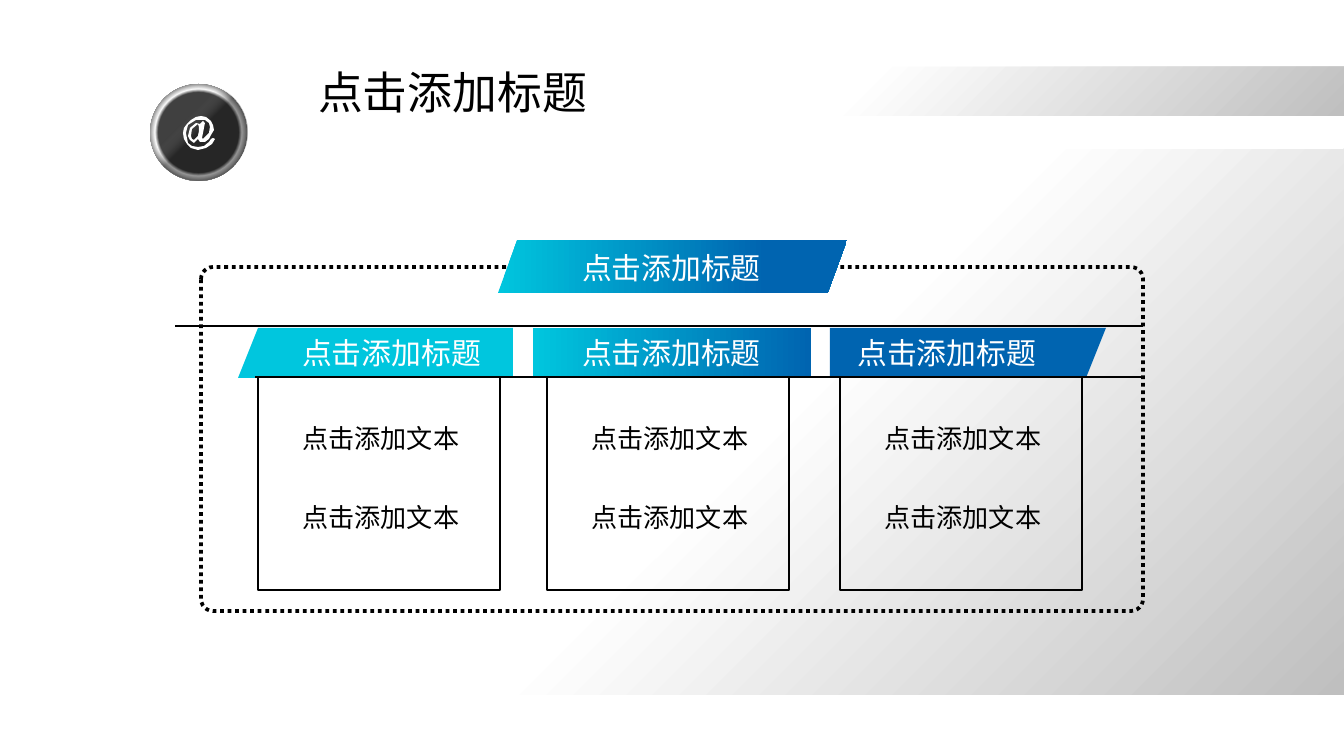
import math

import pptx
import pptx.dml.color
import pptx.enum.dml
import pptx.enum.shapes
import pptx.enum.text
import pptx.oxml
import pptx.oxml.ns
import pptx.util

RGBColor = pptx.dml.color.RGBColor
SHAPES = pptx.enum.shapes.MSO_SHAPE
PIXEL = 914400 / 134.4
FONT = "Noto Sans CJK SC"

BLACK = RGBColor(0x00, 0x00, 0x00)
WHITE = RGBColor(0xFF, 0xFF, 0xFF)
SILVER = RGBColor(0xBF, 0xBF, 0xBF)
GRAY = RGBColor(0x80, 0x80, 0x80)
CHARCOAL = RGBColor(0x40, 0x40, 0x40)
CYAN = RGBColor(0x00, 0xC6, 0xDE)
BLUE = RGBColor(0x00, 0x64, 0xB0)

TITLE = "点击添加标题"
BODY = "点击添加文本"

SILVER_FADE = [(0, WHITE, 100), (55, WHITE, 100), (100, SILVER, 100)]
LINEAR = '<a:lin ang="%d" scaled="0"/>'
RADIAL = '<a:path path="circle"><a:fillToRect l="%d" t="%d" r="%d" b="%d"/></a:path>'
DIAGONAL = LINEAR % (45 * 60000)
HORIZONTAL = LINEAR % 0

# Outline of the at sign, relative to its top left corner
AT_OUTER = [
    (30, 9), (31, 14), (28, 19), (26, 23), (22, 26), (17, 26), (15, 23),
    (11, 27), (7, 24), (5, 20), (7, 12), (13, 7), (17, 8), (20, 5), (22, 7),
    (20, 17), (19, 22), (20, 23), (26, 17), (27, 11), (26, 7), (22, 4),
    (13, 4), (5, 9), (3, 17), (5, 27), (9, 30), (15, 31), (21, 30), (26, 26),
    (28, 23), (30, 22), (32, 23), (29, 28), (23, 32), (15, 34), (8, 32),
    (4, 28), (1, 23), (0, 17), (1, 12), (4, 8), (8, 4), (13, 1), (18, 0),
    (23, 1), (28, 5)]
AT_INNER = [(15, 8), (9, 13), (8, 20), (9, 23), (11, 24), (15, 20), (16, 15), (16, 11)]


def px(value):
    return pptx.util.Emu(round(value * PIXEL))


def paint(shape, fill=None):
    """Fill with a colour, a (stops, direction) gradient, or nothing."""
    shape.shadow.inherit = False
    shape.line.fill.background()
    if isinstance(fill, RGBColor):
        shape.fill.solid()
        shape.fill.fore_color.rgb = fill
        return shape
    shape.fill.background()
    if fill:
        stops, direction = fill
        stop_xml = "".join(
            f'<a:gs pos="{position * 1000}"><a:srgbClr val="{color}">'
            f'<a:alpha val="{alpha * 1000}"/></a:srgbClr></a:gs>'
            for position, color, alpha in stops)
        gradient = pptx.oxml.parse_xml(
            f'<a:gradFill {pptx.oxml.ns.nsdecls("a")} rotWithShape="1">'
            f"<a:gsLst>{stop_xml}</a:gsLst>{direction}</a:gradFill>")
        properties = shape.element.spPr
        properties.replace(properties.find(pptx.oxml.ns.qn("a:noFill")), gradient)
    return shape


def add_preset(slide, kind, left, top, width, height, fill=None):
    shape = slide.shapes.add_shape(kind, px(left), px(top), px(width), px(height))
    return paint(shape, fill)


def add_outline(slide, contours, fill):
    builder = slide.shapes.build_freeform(*contours[0][0], scale=PIXEL)
    builder.add_line_segments(contours[0][1:], close=True)
    for contour in contours[1:]:
        builder.move_to(*contour[0])
        builder.add_line_segments(contour[1:], close=True)
    return paint(builder.convert_to_shape(), fill)


def set_border(shape, width, dash=None):
    shape.line.color.rgb = BLACK
    shape.line.width = pptx.util.Pt(width)
    if dash:
        shape.line.dash_style = dash


def add_rule(slide, start, end, y):
    rule = slide.shapes.add_connector(
        pptx.enum.shapes.MSO_CONNECTOR.STRAIGHT, px(start), px(y), px(end), px(y))
    set_border(rule, 0.75)
    rule.element.spPr.append(
        pptx.oxml.parse_xml(f'<a:effectLst {pptx.oxml.ns.nsdecls("a")}/>'))


def add_text(slide, text, left, top, width, height, size, color):
    box = slide.shapes.add_textbox(px(left), px(top), px(width), px(height))
    frame = box.text_frame
    frame.word_wrap = False
    frame.auto_size = pptx.enum.text.MSO_AUTO_SIZE.SHAPE_TO_FIT_TEXT
    frame.text = text
    run = frame.paragraphs[0].runs[0]
    run.font.size = pptx.util.Pt(size)
    run.font.name = FONT
    run.font.color.rgb = color
    run.font.fill.fore_color.rgb = color
    east_asian = pptx.oxml.parse_xml(
        f'<a:ea {pptx.oxml.ns.nsdecls("a")} typeface="{FONT}"/>')
    run.font.latin = None
    properties = run.element.rPr if hasattr(run, "element") else run._r.rPr
    properties.find(pptx.oxml.ns.qn("a:latin")).addnext(east_asian)


def add_heading(slide, left, top):
    add_text(slide, TITLE, left, top, 208, 50, 16, WHITE)


def add_background(slide):
    ribbon = [(246, 67), (1344, 67), (1344, 116), (277, 116), (266, 92), (246, 77)]
    add_outline(slide, [ribbon], (SILVER_FADE, DIAGONAL))
    notch = [(round(199 - 112 * math.cos(math.radians(angle))),
              round(134 + 112 * math.sin(math.radians(angle))))
             for angle in range(8, 173, 4)]
    panel = [(0, 149)] + notch + [(1344, 149), (1344, 695), (0, 695)]
    add_outline(slide, [panel], (SILVER_FADE, DIAGONAL))


def add_badge(slide):
    rim = [(58, CHARCOAL, 100), (63, WHITE, 100), (72, GRAY, 100)]
    shade = [(50, BLACK, 40), (63, GRAY, 0)]
    for stops, focus in ((rim, (50000,) * 4), (shade, (100000, 100000, 0, 0))):
        add_preset(slide, SHAPES.OVAL, 150, 84, 97, 97, (stops, RADIAL % focus))
    contours = [[(183 + x, 116 + y) for x, y in contour]
                for contour in (AT_OUTER, AT_INNER)]
    add_outline(slide, contours, WHITE)


def add_columns(slide):
    for left in (258, 547, 840):
        box = add_preset(slide, SHAPES.RECTANGLE, left, 353, 242, 237)
        set_border(box, 1)
        for top in (416, 495):
            add_text(slide, BODY, left + 31, top, 186, 46, 14, BLACK)


def add_frame(slide):
    frame = add_preset(slide, SHAPES.ROUNDED_RECTANGLE, 201, 267, 942, 344)
    frame.adjustments[0] = 0.035
    set_border(frame, 2, pptx.enum.dml.MSO_LINE.ROUND_DOT)
    banner = add_preset(slide, SHAPES.PARALLELOGRAM, 498, 240, 349, 53,
                        ([(0, CYAN, 100), (77, BLUE, 100)], HORIZONTAL))
    banner.adjustments[0] = 0.365
    add_heading(slide, 569, 243)


def add_column_headers(slide):
    add_preset(slide, SHAPES.RECTANGLE, 533, 328, 278, 50,
               ([(0, CYAN, 100), (100, BLUE, 100)], HORIZONTAL))
    add_outline(slide, [[(258, 328), (513, 328), (513, 378), (238, 378)]], CYAN)
    add_outline(slide, [[(830, 328), (1106, 328), (1086, 378), (830, 378)]], BLUE)
    for left in (289, 569, 844):
        add_heading(slide, left, 328)
    add_rule(slide, 1143, 175, 326)
    add_rule(slide, 1143, 255, 377)


def main():
    presentation = pptx.Presentation()
    presentation.slide_width = px(1344)
    presentation.slide_height = px(756)
    slide = presentation.slides.add_slide(presentation.slide_layouts[6])
    add_background(slide)
    add_badge(slide)
    add_columns(slide)
    add_text(slide, TITLE, 305, 58, 298, 69, 24, BLACK)
    add_frame(slide)
    add_column_headers(slide)
    presentation.save("out.pptx")


main()
